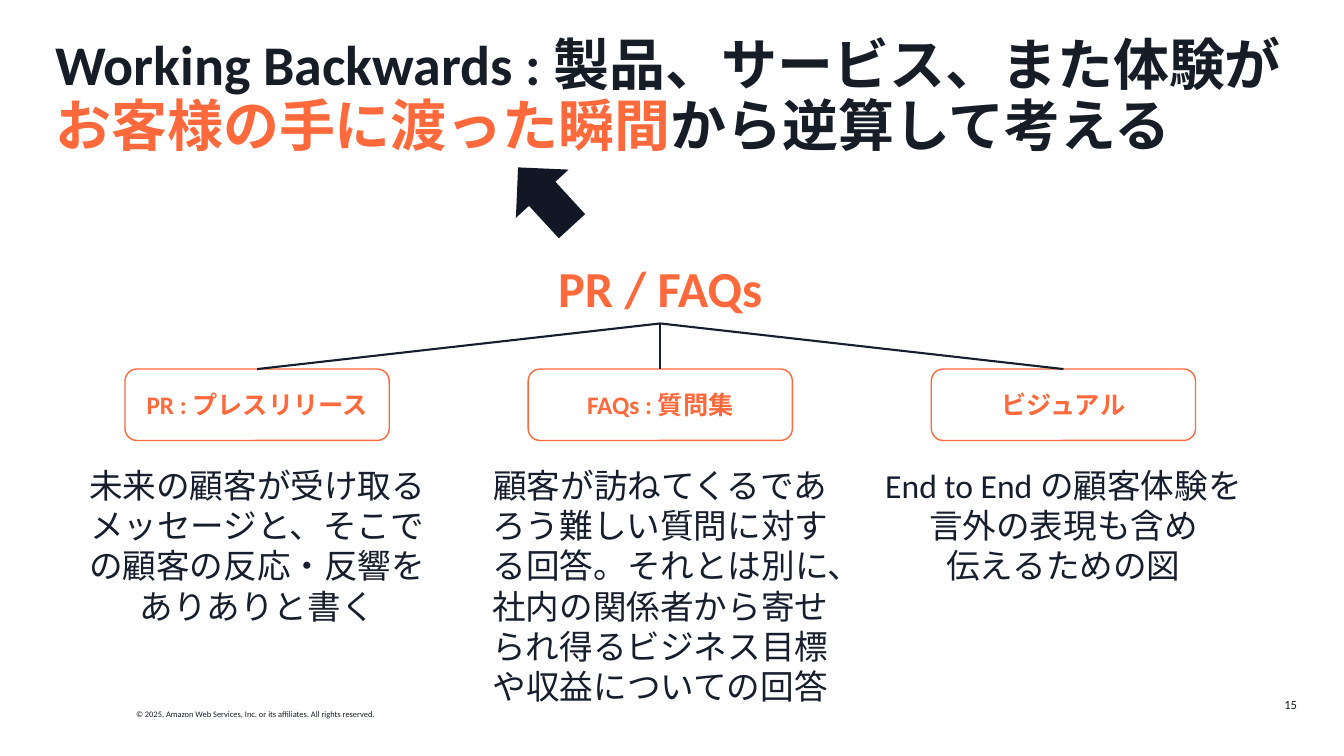
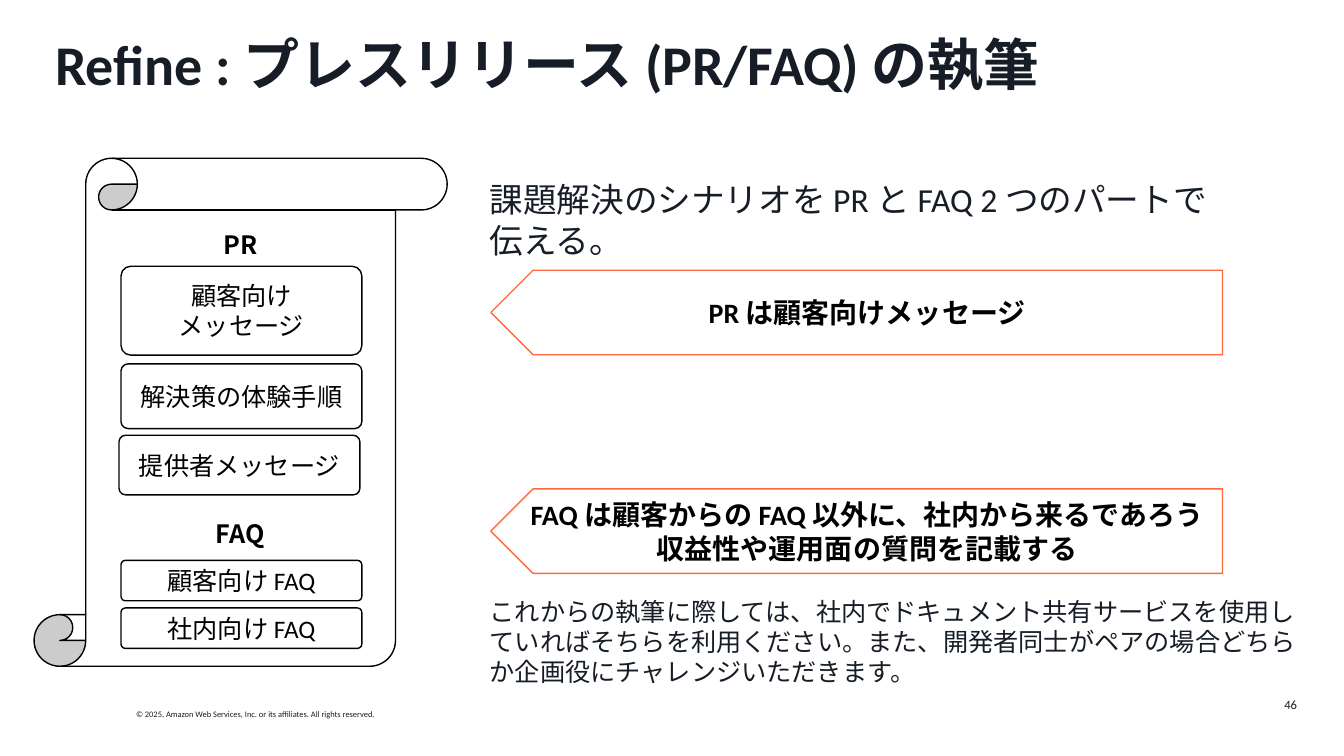
from dataclasses import dataclass

from lxml.etree import SubElement
from pptx import Presentation
from pptx.dml.color import RGBColor
from pptx.enum.lang import MSO_LANGUAGE_ID
from pptx.enum.shapes import MSO_CONNECTOR, MSO_SHAPE
from pptx.enum.text import MSO_ANCHOR, MSO_AUTO_SIZE, PP_ALIGN
from pptx.oxml.ns import qn
from pptx.util import Cm, Pt


@dataclass(frozen=True)
class Theme:
    # Colours
    ink: str = "161D26"
    navy: str = "161E2D"
    arrow: str = "111724"
    accent: str = "FF693C"
    black: str = "000000"
    white: str = "FFFFFF"
    # Fonts
    font: str = "Calibri"
    japanese_font: str = "Noto Sans CJK JP"
    # Type sizes
    title: int = 40
    heading: int = 36
    body: int = 24
    callout: int = 20
    label: int = 18
    number: int = 9
    copyright: int = 6


THEME = Theme()
COPYRIGHT = "© 2025, Amazon Web Services, Inc. or its affiliates. All rights reserved."
TITLE_ONLY, TITLE_AND_BODY = 5, 1
BARE_SIDES = {"margin_left": 0, "margin_right": 0}
MIDDLE = {"vertical_anchor": MSO_ANCHOR.MIDDLE}


class Deck:
    """Holds the shared style and the slide being built."""

    def __init__(self, theme):
        self.theme = theme
        self.presentation = Presentation()
        self.presentation.slide_width = Cm(33.87)
        self.presentation.slide_height = Cm(19.05)
        self.slide = None

    # Slide frame: title, copyright line and number
    def new_slide(self, layout, number, title):
        theme = self.theme
        self.slide = self.presentation.slides.add_slide(
            self.presentation.slide_layouts[layout])
        self.text(COPYRIGHT, (3.18, 17.75, 7.29, 0.51), theme.copyright,
                  frame={"word_wrap": False})
        self.text(str(number), (25.32, 17.25, 7.62, 1.02), theme.number,
                  align=PP_ALIGN.RIGHT, frame=MIDDLE)
        shape = self.slide.shapes.title
        self.place(shape, (1.14, 0.81, 31.8, 1.73))
        self.fill_text(shape, [title], theme.title, bold=True, line_spacing=0.9)

    @staticmethod
    def place(shape, box):
        for name, value in zip(("left", "top", "width", "height"), box):
            setattr(shape, name, Cm(value))

    # Text: each paragraph is a string or a list of (text, font changes)
    def fill_text(self, shape, paragraphs, size, color=None, bold=False,
                  align=PP_ALIGN.LEFT, line_spacing=None, frame=None):
        text_frame = shape.text_frame
        frame_format = {"word_wrap": True, "auto_size": MSO_AUTO_SIZE.NONE,
                        "vertical_anchor": MSO_ANCHOR.TOP, **(frame or {})}
        for name, value in frame_format.items():
            setattr(text_frame, name, value)
        font_format = {"name": self.theme.font, "size": Pt(size), "bold": bold,
                       "color": color or self.theme.ink}
        for index, content in enumerate(paragraphs):
            paragraph = (text_frame.add_paragraph() if index
                         else text_frame.paragraphs[0])
            paragraph_format = {"alignment": align, "space_before": Pt(0),
                                "line_spacing": line_spacing}
            for name, value in paragraph_format.items():
                setattr(paragraph, name, value)
            runs = [(content, {})] if isinstance(content, str) else content
            for text, changes in runs:
                self.add_run(paragraph, text, {**font_format, **changes})

    @staticmethod
    def add_run(paragraph, text, font_format):
        run = paragraph.add_run()
        run.text = text
        values = dict(font_format)
        color = values.pop("color")
        for name, value in values.items():
            setattr(run.font, name, value)
        run.font.language_id = MSO_LANGUAGE_ID.JAPANESE
        run.font.color.rgb = RGBColor.from_string(color)
        east_asian = SubElement(run.font._element, qn("a:ea"))
        east_asian.set("typeface", values["name"])

    def text(self, content, box, size, **options):
        shape = self.slide.shapes.add_textbox(*map(Cm, box))
        paragraphs = [content] if isinstance(content, str) else content
        self.fill_text(shape, paragraphs, size, **options)
        return shape

    def body(self, paragraphs, box, size):
        shape = self.slide.placeholders[1]
        self.place(shape, box)
        self.fill_text(shape, paragraphs, size, frame=BARE_SIDES)
        for paragraph in shape.text_frame.paragraphs:
            properties = paragraph._p.get_or_add_pPr()
            properties.set("marL", "0")
            properties.set("indent", "0")
            SubElement(properties, qn("a:buNone"))

    # Shapes
    def shape(self, kind, box, fill=None, line=None, adjustment=None):
        shape = self.slide.shapes.add_shape(kind, *map(Cm, box))
        shape.shadow.inherit = False
        if fill:
            shape.fill.solid()
            shape.fill.fore_color.rgb = RGBColor.from_string(fill)
        else:
            shape.fill.background()
        if line:
            shape.line.color.rgb = RGBColor.from_string(line)
            shape.line.width = Pt(1)
        else:
            shape.line.fill.background()
        if adjustment is not None:
            shape.adjustments[0] = adjustment
        return shape

    def card(self, paragraphs, box, line, color, bold=False, adjustment=None):
        shape = self.shape(MSO_SHAPE.ROUNDED_RECTANGLE, box, line=line,
                           adjustment=adjustment)
        self.fill_text(shape, paragraphs, self.theme.label, color, bold,
                       PP_ALIGN.CENTER, frame=MIDDLE)
        return shape

    def left_callout(self, runs, box):
        shape = self.shape(MSO_SHAPE.PENTAGON, box, line=self.theme.accent)
        shape.element.spPr.find(qn("a:xfrm")).set("flipH", "1")
        self.fill_text(shape, [runs], self.theme.callout, self.theme.black, True,
                       PP_ALIGN.CENTER, frame=MIDDLE)

    def branch(self, child, parent):
        connector = self.slide.shapes.add_connector(MSO_CONNECTOR.STRAIGHT, 0, 0, 0, 0)
        connector.begin_connect(child, 0)
        connector.end_connect(parent, 2)
        connector.line.color.rgb = RGBColor.from_string(self.theme.navy)
        connector.line.width = Pt(1.5)
        SubElement(connector.element.spPr, qn("a:effectLst"))


def build_working_backwards(deck):
    theme = deck.theme
    deck.new_slide(TITLE_ONLY, 15, [
        ("Working Backwards : 製品、サービス、また体験が", {}),
        ("お客様の手に渡った瞬間", {"color": theme.accent}),
        ("から逆算して考える", {}),
    ])
    arrow = deck.shape(MSO_SHAPE.LEFT_ARROW, (12.73, 4.06, 2.01, 1.8), fill=theme.arrow)
    arrow.rotation = 47.5

    # Three columns under one heading
    first_center, pitch = 6.48, 10.16
    heading_width, card_width, body_width = 9.93, 6.66, 9.1
    heading = deck.text(
        "PR / FAQs", (first_center + pitch - heading_width / 2, 6.35, heading_width, 1.8),
        theme.heading, color=theme.accent, bold=True, align=PP_ALIGN.CENTER,
        frame=BARE_SIDES)
    columns = [
        ("PR : プレスリリース",
         ["未来の顧客が受け取るメッセージと、そこでの顧客の反応・反響を", "ありありと書く"]),
        ("FAQs : 質問集",
         ["顧客が訪ねてくるであろう難しい質問に対する回答。それとは別に、"
          "社内の関係者から寄せられ得るビジネス目標や収益についての回答"]),
        ("ビジュアル",
         ["End to End の顧客体験を言外の表現も含め", "伝えるための図"]),
    ]
    for index, (name, description) in enumerate(columns):
        center = first_center + index * pitch
        card = deck.card([name], (center - card_width / 2, 9.3, card_width, 1.8),
                         theme.accent, theme.accent, bold=True)
        deck.branch(card, heading)
        deck.text(description, (center - body_width / 2, 11.58, body_width, 6.4),
                  theme.body, color=theme.navy, align=PP_ALIGN.CENTER, frame=BARE_SIDES)


def build_press_release(deck):
    theme = deck.theme
    deck.new_slide(TITLE_AND_BODY, 46, "Refine : プレスリリース (PR/FAQ) の執筆")

    # Scroll with the parts of the document
    deck.shape(MSO_SHAPE.VERTICAL_SCROLL, (0.86, 3.99, 10.41, 12.8),
               theme.white, theme.black)
    cards = [
        (["顧客向け", "メッセージ"], 3.05, 6.71, 2.24),
        (["解決策の体験手順"], 3.05, 9.17, 1.63),
        (["提供者メッセージ"], 3.0, 10.97, 1.5),
        (["顧客向け FAQ"], 3.05, 14.12, 1.02),
        (["社内向け FAQ"], 3.05, 15.32, 1.02),
    ]
    for paragraphs, left, top, height in cards:
        deck.card(paragraphs, (left, top, 6.07, height), theme.black, theme.black,
                  adjustment=0.109)
    japanese = {"name": theme.japanese_font}
    for name, top in (("PR", 5.66), ("FAQ", 12.93)):
        deck.text([[(name, japanese)]], (3.43, top, 5.26, 1.02), theme.label,
                  color=theme.black, bold=True, align=PP_ALIGN.CENTER, frame=BARE_SIDES)

    # Explanation and callouts
    deck.body(["課題解決のシナリオを PR と FAQ 2 つのパートで", "伝える。"],
              (12.34, 4.39, 20.85, 2.3), theme.body)
    callouts = [
        ([("PR ", {}), ("は顧客向けメッセージ", japanese)], 6.81),
        ([("FAQ は顧客からの FAQ 以外に、社内から来るであろう"
           "収益性や運用面の質問を記載する", {})], 12.32),
    ]
    for runs, top in callouts:
        deck.left_callout(runs, (12.37, top, 18.44, 2.13))
    deck.text("💡これからの執筆に際しては、社内でドキュメント共有サービスを使用して"
              "いればそちらを利用ください。また、開発者同士がペアの場合どちらか"
              "企画役にチャレンジいただきます。",
              (12.34, 14.9, 20.85, 2.6), theme.label, frame=BARE_SIDES)


def main():
    deck = Deck(THEME)
    build_working_backwards(deck)
    build_press_release(deck)
    deck.presentation.save("out.pptx")


if __name__ == "__main__":
    main()
